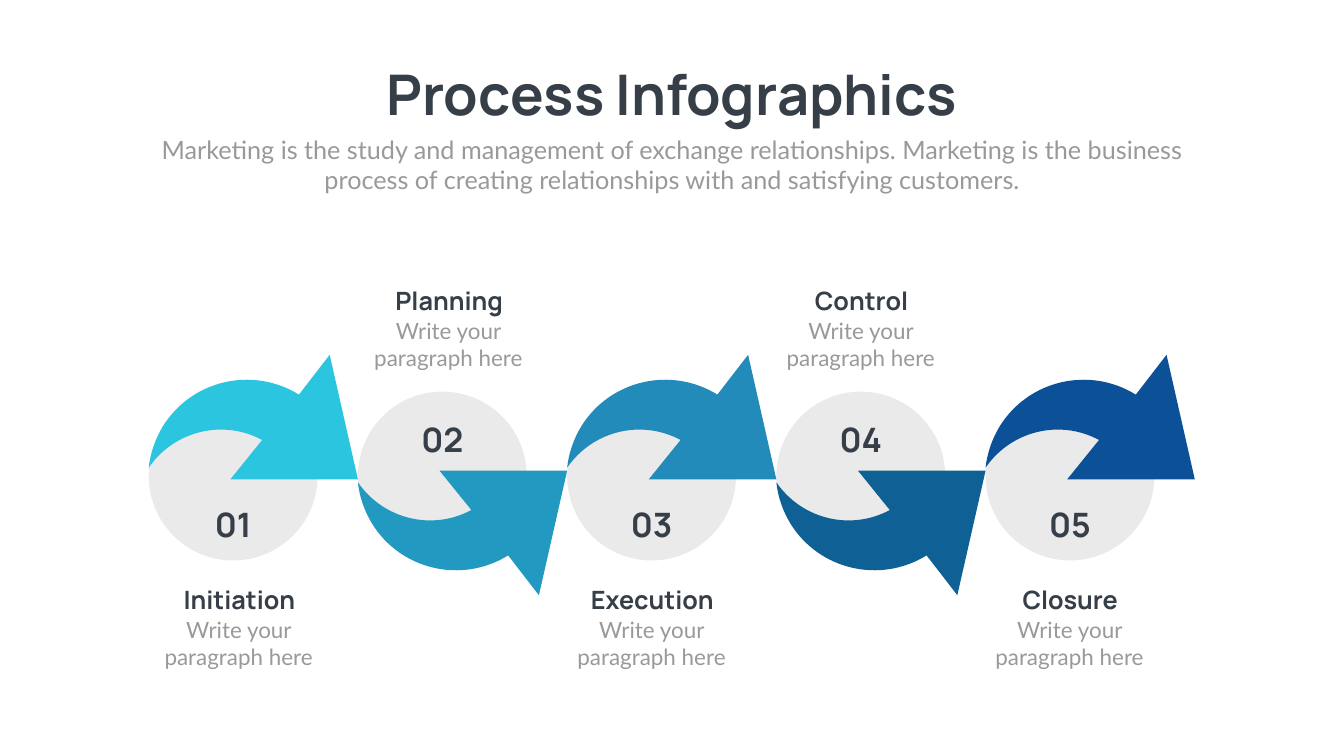
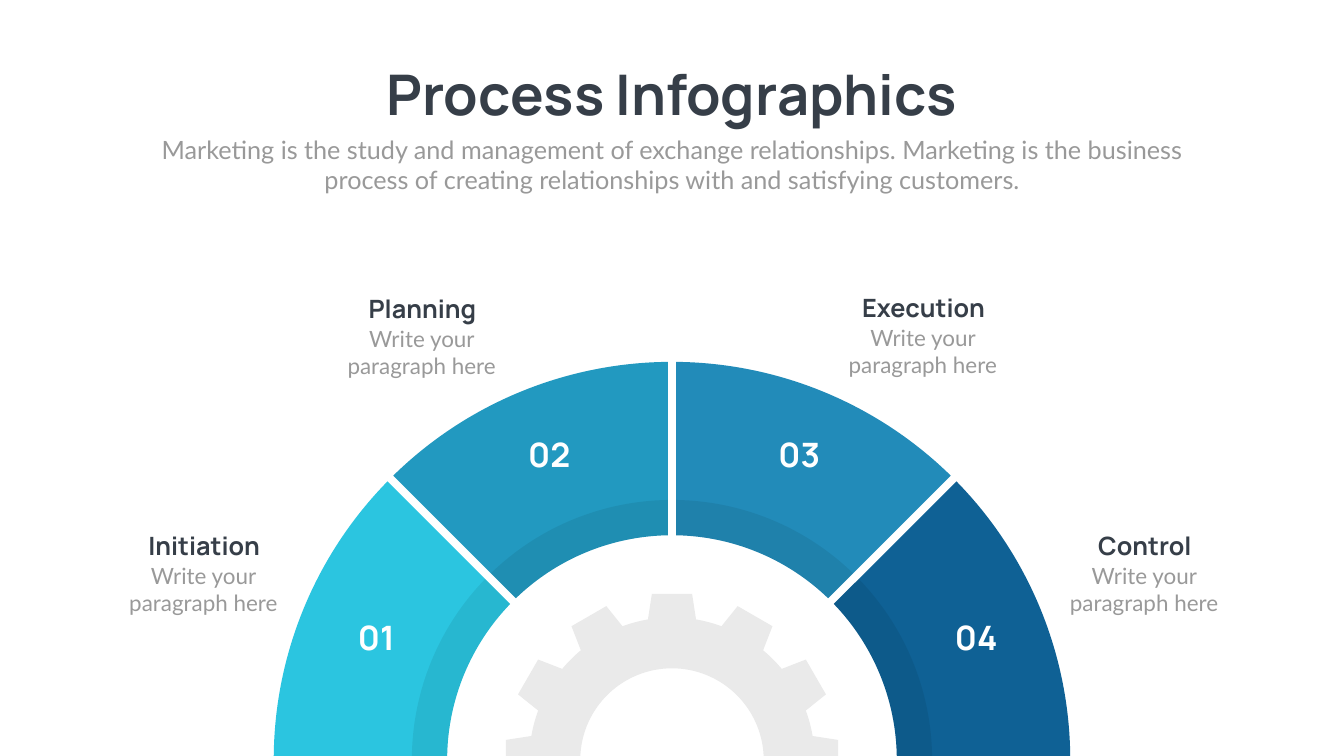
from dataclasses import dataclass
from math import asin, cos, degrees, radians, sin, tan

from pptx import Presentation
from pptx import util as u
from pptx.dml.color import RGBColor
from pptx.enum import shapes, text
from pptx.oxml.ns import qn
from pptx.oxml.xmlchemy import OxmlElement


@dataclass(frozen=True)
class Theme:
    width: float = 26.66
    height: float = 15
    heading_font: str = "Manrope"
    body_font: str = "Lato"
    ink: str = "363E48"
    grey: str = "999999"
    pale: str = "EAEAEA"
    white: str = "FFFFFF"
    black: str = "000000"
    cyan: str = "2BC5E0"
    teal: str = "2299C0"
    blue: str = "228BB9"
    deep: str = "0F6195"
    navy: str = "0C5198"
    title_size: int = 80
    number_size: int = 48
    name_size: int = 36
    detail_size: int = 32


THEME = Theme()
TITLE = "Process Infographics"
INTRO = ("Marketing is the study and management of exchange relationships. "
         "Marketing is the business process of creating relationships with "
         "and satisfying customers.")
DETAIL = "Write your paragraph here"

HEADING = {"name": THEME.heading_font, "bold": True}
TITLE_STYLE = {**HEADING, "size": THEME.title_size, "color": THEME.ink}
NAME_STYLE = {**HEADING, "size": THEME.name_size, "color": THEME.ink}
NUMBER_STYLE = {**HEADING, "size": THEME.number_size, "color": THEME.ink}
BODY = {"name": THEME.body_font, "bold": False, "color": THEME.grey}
INTRO_STYLE = {**BODY, "size": THEME.name_size}
DETAIL_STYLE = {**BODY, "size": THEME.detail_size}

# Chain of steps: one column per step, arrows alternately up and down
CHAIN_LEFT, CHAIN_PITCH = 2.95, 4.15
UP_BASE, DOWN_BASE = 9.51, 9.34
CIRCLE = 3.35
# Arrow outline from its column and base; six numbers make a curve
ARROW = [
    (4.15, 0), (3.59, -2.47), (2.98, -1.68),
    (2.06, -2.25, 0.85, -1.97, 0.28, -1.05),
    (0.13, -0.8, 0.03, -0.52, 0, -0.23),
    (0.5, -0.96, 1.47, -1.2, 2.25, -0.78),
    (1.62, 0),
]
# Name, colour, shift of the label from its column
CHAIN_STEPS = [
    ("Initiation", THEME.cyan, 0.12),
    ("Planning", THEME.teal, 0.13),
    ("Execution", THEME.blue, 0.01),
    ("Control", THEME.deep, 0.01),
    ("Closure", THEME.navy, 0),
]

# Half ring and gear share one centre just below the slide
CENTRE_X, CENTRE_Y = THEME.width / 2, THEME.height + 0.08
HALF_GAP = 0.08
RING_OUTER, RING_SHADE, RING_INNER = 7.9, 5.16, 4.46
GEAR_TIP, GEAR_ROOT, GEAR_HOLE = 3.32, 2.83, 1.82
TIP_ANGLE, ROOT_ANGLE, TOOTH_STEP = 6.9, 9.7, 30
# Name, colour, number position, label position
RING_STEPS = [
    ("Initiation", THEME.cyan, (6.52, 12.2), (2.37, 10.47)),
    ("Planning", THEME.teal, (9.95, 8.56), (6.7, 5.78)),
    ("Execution", THEME.blue, (14.91, 8.56), (16.64, 5.75)),
    ("Control", THEME.deep, (18.42, 12.2), (21.03, 10.47)),
]


def format_text(shape, content, style):
    frame = shape.text_frame
    settings = {"word_wrap": True, "vertical_anchor": text.MSO_ANCHOR.TOP,
                "auto_size": text.MSO_AUTO_SIZE.SHAPE_TO_FIT_TEXT}
    for name, value in settings.items():
        setattr(frame, name, value)
    paragraph = frame.paragraphs[0]
    paragraph.alignment = text.PP_ALIGN.CENTER
    run = paragraph.add_run()
    run.text = content
    for name, value in style.items():
        if name == "color":
            run.font.color.rgb = RGBColor.from_string(value)
        else:
            setattr(run.font, name, u.Pt(value) if name == "size" else value)


def add_text(slide, box, content, style):
    shape = slide.shapes.add_textbox(*map(u.Inches, box))
    format_text(shape, content, style)


def add_label(slide, left, top, name):
    """Place a step name with its detail text below."""
    add_text(slide, (left, top, 3.36, 0.71), name, NAME_STYLE)
    add_text(slide, (left - 0.03, top + 0.63, 3.39, 1.18), DETAIL, DETAIL_STYLE)


def paint(shape, colour, opacity=100):
    shape.shadow.inherit = False
    shape.line.fill.background()
    shape.fill.solid()
    shape.fill.fore_color.rgb = RGBColor.from_string(colour)
    if opacity < 100:
        alpha = OxmlElement("a:alpha")
        alpha.set("val", str(opacity * 1000))
        shape.element.spPr.find(qn("a:solidFill")).find(qn("a:srgbClr")).append(alpha)


def add_outline(slide, parts, colour, opacity=100):
    """Draw corners (two numbers) and cubic curves (six numbers) as one shape."""
    points = [(u.Inches(part[i]), u.Inches(part[i + 1]))
              for part in parts for i in range(0, len(part), 2)]
    builder = slide.shapes.build_freeform(*points[0], scale=1.0)
    builder.add_line_segments(points[1:], close=True)
    shape = builder.convert_to_shape()
    lines = iter(list(shape.element.spPr.iter(qn("a:lnTo"))))
    for part in parts[1:]:
        segment = [next(lines) for _ in range(len(part) // 2)]
        if len(segment) == 3:
            curve = OxmlElement("a:cubicBezTo")
            segment[0].addprevious(curve)
            for line in segment:
                curve.append(line[0])
                line.getparent().remove(line)
    paint(shape, colour, opacity)


def polar(radius, angle):
    """Angle in degrees, clockwise from straight up."""
    return (CENTRE_X + radius * sin(radians(angle)),
            CENTRE_Y - radius * cos(radians(angle)))


def arc(radius, start, end, curves=1):
    """Start point of an arc, then the curves that follow it."""
    step = (end - start) / curves
    handle = 4 / 3 * tan(radians(step) / 4)
    reach, turn = radius * (1 + handle ** 2) ** 0.5, degrees(asin(
        handle / (1 + handle ** 2) ** 0.5))
    parts = [polar(radius, start)]
    for index in range(curves):
        first, last = start + step * index, start + step * (index + 1)
        parts.append((*polar(reach, first + turn), *polar(reach, last - turn),
                      *polar(radius, last)))
    return parts


def arc_with_gap(radius, start, end, curves):
    """Arc that stops half a gap short of both of its border lines."""
    trim = degrees(asin(HALF_GAP / radius)) * (1 if end > start else -1)
    return arc(radius, start + trim, end - trim, curves)


def add_band(slide, start, end, outer, curves, colour, opacity=100):
    parts = (arc_with_gap(outer, start, end, curves)
             + arc_with_gap(RING_INNER, end, start, 2))
    add_outline(slide, parts, colour, opacity)


def add_gear(slide):
    teeth = []
    for middle in range(-90, 91, TOOTH_STEP):
        teeth += [polar(GEAR_TIP, middle - TIP_ANGLE),
                  polar(GEAR_TIP, middle + TIP_ANGLE),
                  *arc(GEAR_ROOT, middle + ROOT_ANGLE,
                       middle + TOOTH_STEP - ROOT_ANGLE)]
    reach = GEAR_TIP * cos(radians(TIP_ANGLE))
    visible = [part for part in teeth if part[1] < THEME.height]
    add_outline(slide, [(CENTRE_X - reach, THEME.height), *visible,
                        (CENTRE_X + reach, THEME.height),
                        *arc_with_gap(GEAR_HOLE, 90, -90, 4)], THEME.pale)


def add_arrow(slide, left, base, direction, colour):
    """Direction is 1 for an arrow above its base, -1 for one below."""
    parts = [tuple(base + direction * value if i % 2 else left + value
                   for i, value in enumerate(part)) for part in ARROW]
    add_outline(slide, parts, colour)


def add_titled_slide(presentation):
    slide = presentation.slides.add_slide(presentation.slide_layouts[5])
    title = slide.shapes.title
    places = {"left": 7.17, "top": 1.14, "width": 12.32, "height": 1.45}
    for name, value in places.items():
        setattr(title, name, u.Inches(value))
    format_text(title, TITLE, TITLE_STYLE)
    add_text(slide, (2.92, 2.61, 20.82, 1.31), INTRO, INTRO_STYLE)
    return slide


def build_chain(presentation):
    slide = add_titled_slide(presentation)
    lefts = [CHAIN_LEFT + CHAIN_PITCH * column for column in range(len(CHAIN_STEPS))]
    for left in reversed(lefts):
        circle = slide.shapes.add_shape(
            shapes.MSO_SHAPE.OVAL, *map(u.Inches, (left, 7.77, CIRCLE, CIRCLE)))
        paint(circle, THEME.pale)
    for column, (left, (_, colour, _)) in enumerate(zip(lefts, CHAIN_STEPS)):
        base, direction = (DOWN_BASE, -1) if column % 2 else (UP_BASE, 1)
        add_arrow(slide, left, base, direction, colour)
    for column, (left, (name, _, shift)) in enumerate(zip(lefts, CHAIN_STEPS)):
        number_top, label_top = (8.27, 5.61) if column % 2 else (9.94, 11.55)
        add_text(slide, (left + (CIRCLE - 1.88) / 2, number_top, 1.88, 0.91),
                 f"{column + 1:02}", NUMBER_STYLE)
        add_label(slide, left + shift, label_top, name)


def build_ring(presentation):
    slide = add_titled_slide(presentation)
    span = 180 / len(RING_STEPS)
    starts = [-90 + span * index for index in range(len(RING_STEPS))]
    for start, (_, colour, _, _) in zip(starts, RING_STEPS):
        add_band(slide, start, start + span, RING_OUTER, 2, colour)
    for start in starts:
        add_band(slide, start, start + span, RING_SHADE, 1, THEME.black, opacity=7)
    add_gear(slide)
    for index, (_, _, number_at, _) in enumerate(RING_STEPS, 1):
        add_text(slide, (*number_at, 1.89, 1.08), f"{index:02}",
                 {**NUMBER_STYLE, "color": THEME.white})
    for name, _, _, label_at in RING_STEPS:
        add_label(slide, *label_at, name)


def main():
    presentation = Presentation()
    presentation.slide_width = u.Inches(THEME.width)
    presentation.slide_height = u.Inches(THEME.height)
    build_chain(presentation)
    build_ring(presentation)
    presentation.save("out.pptx")


if __name__ == "__main__":
    main()
